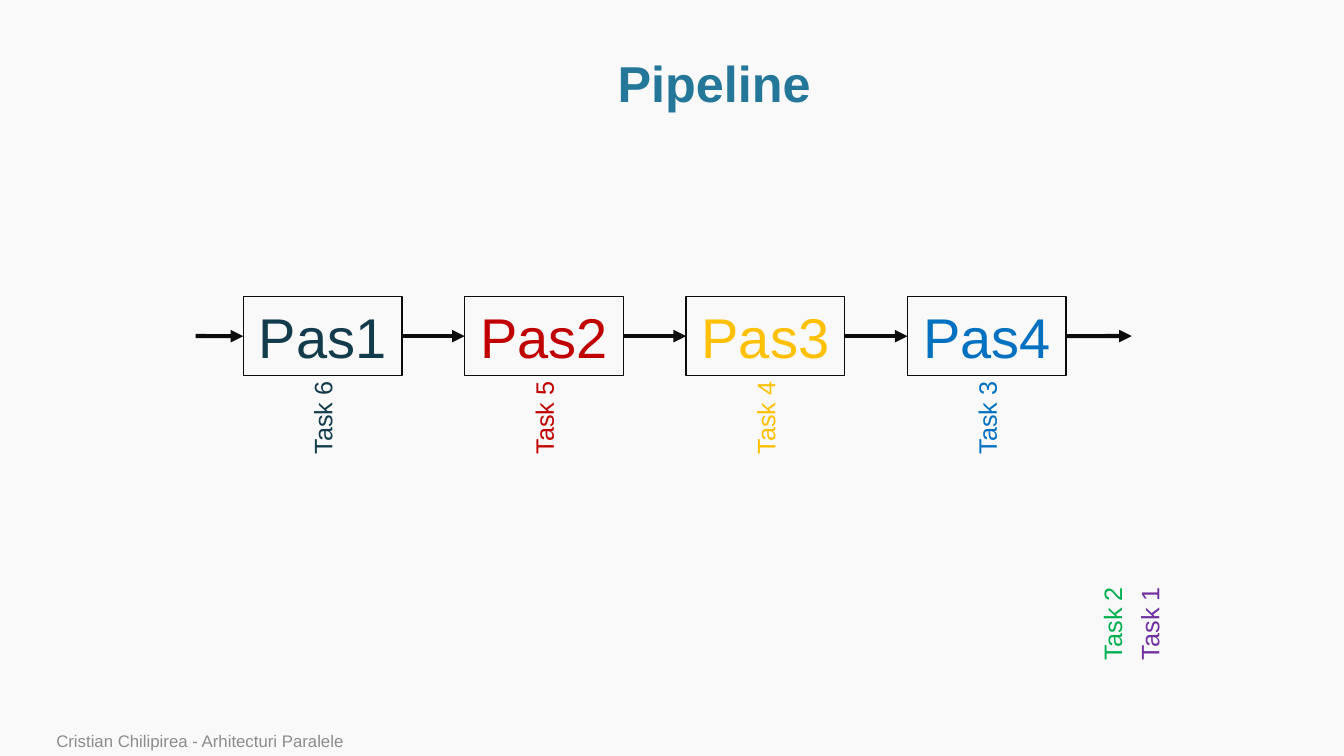
from itertools import pairwise

from lxml.etree import SubElement
from pptx import Presentation
from pptx.dml.color import RGBColor
from pptx.enum.shapes import MSO_CONNECTOR, MSO_SHAPE
from pptx.enum.text import MSO_ANCHOR, MSO_AUTO_SIZE, PP_ALIGN
from pptx.oxml.ns import qn
from pptx.util import Cm, Pt

COLORS = {
    "background": "F9F9F9", "title": "247798", "line": "0C0C0C", "footer": "8C8C8C",
    "teal": "123B4C", "red": "C00000", "yellow": "FFC000",
    "blue": "0070C0", "green": "00B050", "purple": "7030A0",
}
STEP_COLORS = ["teal", "red", "yellow", "blue"]
STEP_LEFT, STEP_TOP, STEP_PITCH = 6.13, 7.47, 5.58
STEP_WIDTH, STEP_HEIGHT = 4, 2
TASK_WIDTH, TASK_HEIGHT = 2.36, 1.02
TASK_TOP, DONE_TOP = 10.01, 15.19


def color(name):
    return RGBColor.from_string(COLORS[name])


class PipelineSlide:
    """Draws the elements of a pipeline diagram on one slide in a shared style."""

    def __init__(self, presentation, font_name="Arial"):
        self.font_name = font_name
        self.slide = presentation.slides.add_slide(presentation.slide_layouts[6])
        fill = self.slide.background.fill
        fill.solid()
        fill.fore_color.rgb = color("background")

    def label(self, shape, text, size, color_name, align=PP_ALIGN.LEFT, bold=False, **frame_format):
        frame = shape.text_frame
        for name, value in ({"word_wrap": True} | frame_format).items():
            setattr(frame, name, value)
        paragraph = frame.paragraphs[0]
        paragraph.alignment = align
        run = paragraph.add_run()
        run.text = text
        for name, value in {"name": self.font_name, "size": Pt(size), "bold": bold}.items():
            setattr(run.font, name, value)
        run.font.color.rgb = color(color_name)

    def text(self, box, text, size, color_name, **text_format):
        shape = self.slide.shapes.add_textbox(*map(Cm, box))
        self.label(shape, text, size, color_name, **text_format)
        return shape

    def title(self, box, text):
        shape = self.text(box, text, 36, "title", align=PP_ALIGN.CENTER, bold=True,
                          vertical_anchor=MSO_ANCHOR.MIDDLE)
        shape.text_frame.paragraphs[0].line_spacing = 0.9

    def step(self, left, text, color_name):
        box = (left, STEP_TOP, STEP_WIDTH, STEP_HEIGHT)
        shape = self.slide.shapes.add_shape(MSO_SHAPE.RECTANGLE, *map(Cm, box))
        shape.shadow.inherit = False
        shape.fill.background()
        shape.line.color.rgb = color("line")
        shape.line.width = Pt(1)
        self.label(shape, text, 40, color_name, align=PP_ALIGN.CENTER,
                   vertical_anchor=MSO_ANCHOR.MIDDLE)
        return shape

    def arrow(self, start, end, source=None, target=None):
        middle = Cm(STEP_TOP + STEP_HEIGHT / 2)
        connector = self.slide.shapes.add_connector(
            MSO_CONNECTOR.STRAIGHT, Cm(start), middle, Cm(end), middle)
        if source is not None:
            connector.begin_connect(source, 3)
        if target is not None:
            connector.end_connect(target, 1)
        connector.line.color.rgb = color("line")
        connector.line.width = Pt(3)
        properties = connector._element.spPr
        SubElement(properties.find(qn("a:ln")), qn("a:tailEnd"), type="triangle")
        SubElement(properties, qn("a:effectLst"))

    def task(self, left, top, number, color_name):
        shape = self.text((left, top, TASK_WIDTH, TASK_HEIGHT), f"Task {number}", 18, color_name,
                          word_wrap=False, auto_size=MSO_AUTO_SIZE.SHAPE_TO_FIT_TEXT)
        shape.rotation = 270


def main():
    presentation = Presentation()
    presentation.slide_width = Cm(33.87)
    presentation.slide_height = Cm(19.05)
    pipeline = PipelineSlide(presentation)
    pipeline.title((2.9, 1.3, 30.2, 1.75), "Pipeline")

    lefts = [STEP_LEFT + STEP_PITCH * index for index in range(len(STEP_COLORS))]
    steps = [pipeline.step(left, f"Pas{number}", name)
             for number, (left, name) in enumerate(zip(lefts, STEP_COLORS), 1)]

    starts = [4.93] + [left + STEP_WIDTH for left in lefts]
    ends = lefts + [28.52]
    for start, end, (source, target) in zip(starts, ends, pairwise([None, *steps, None])):
        pipeline.arrow(start, end, source, target)

    pipeline.task(27.79, DONE_TOP, 1, "purple")
    pipeline.task(26.85, DONE_TOP, 2, "green")
    inset = (STEP_WIDTH - TASK_WIDTH) / 2
    for number, (left, name) in enumerate(zip(reversed(lefts), reversed(STEP_COLORS)), 3):
        pipeline.task(left + inset, TASK_TOP, number, name)

    pipeline.text((1.17, 18.34, 24.94, 0.71), "Cristian Chilipirea - Arhitecturi Paralele",
                  12, "footer", vertical_anchor=MSO_ANCHOR.BOTTOM)
    presentation.save("out.pptx")


if __name__ == "__main__":
    main()
